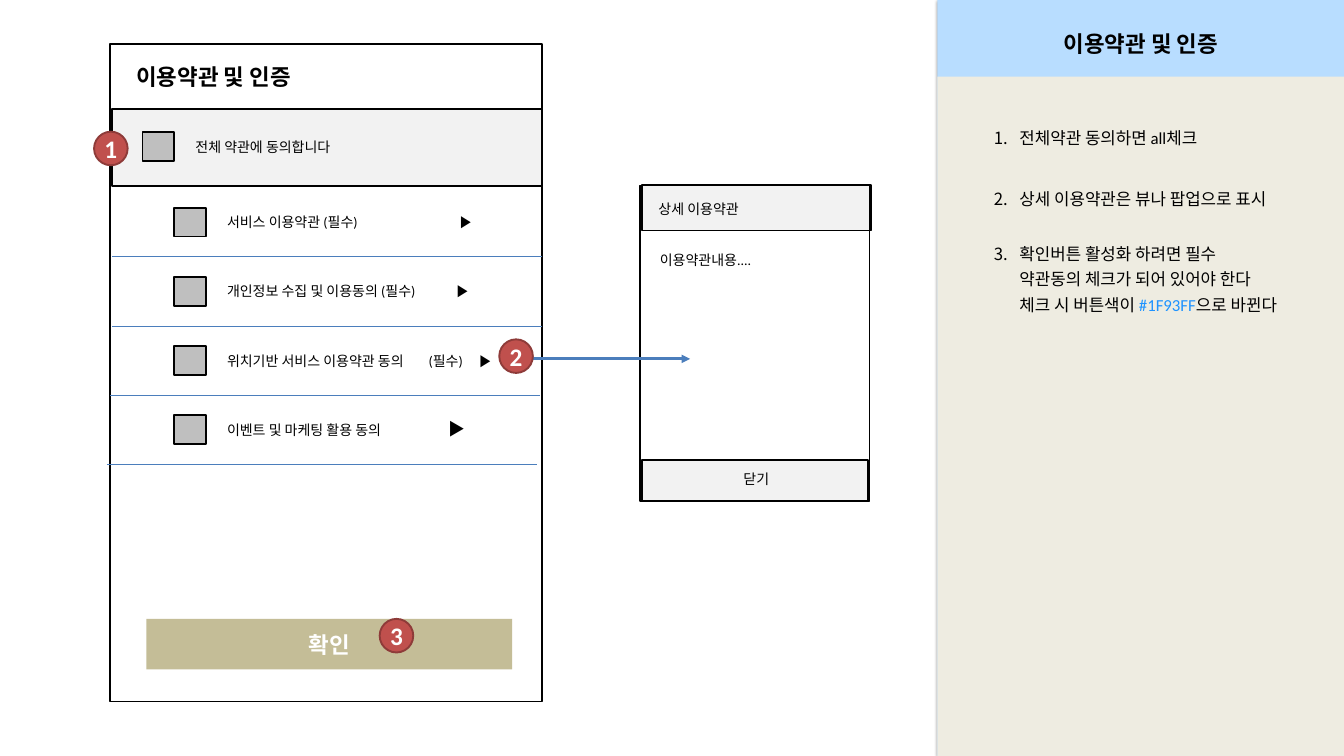
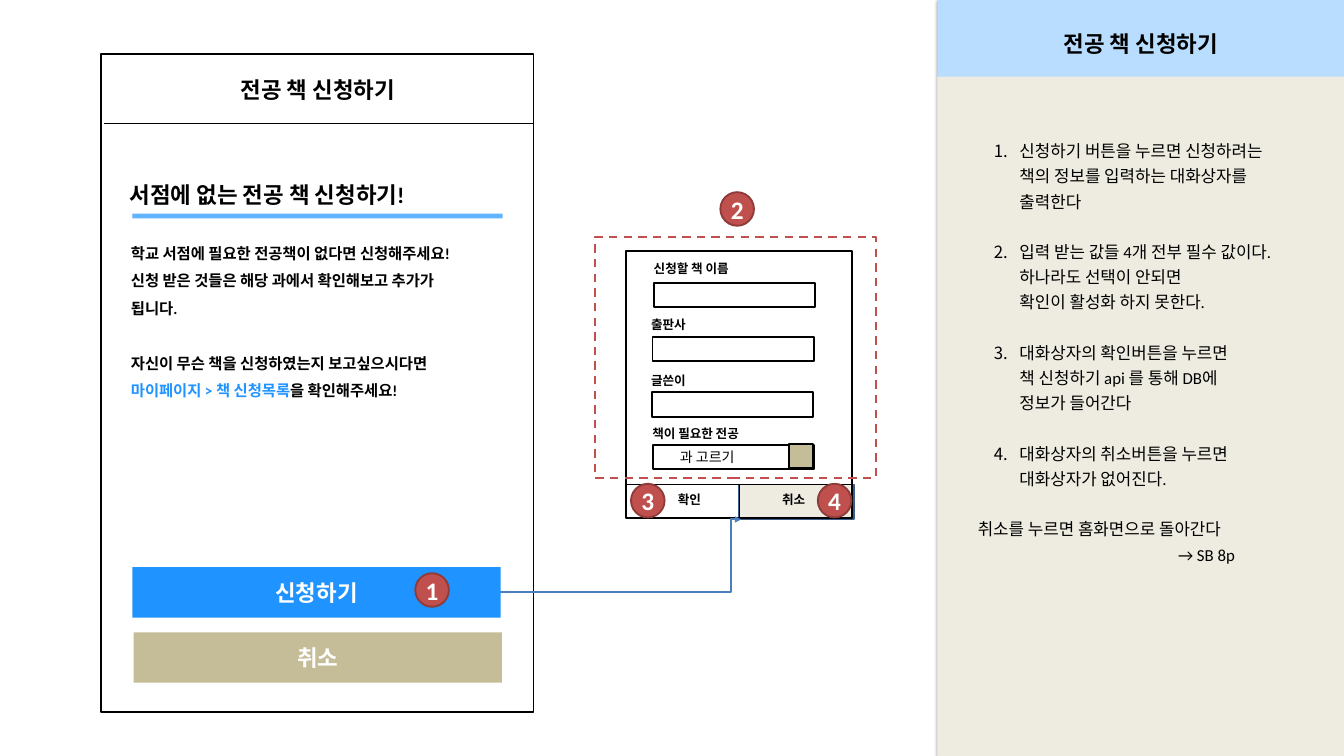
from dataclasses import dataclass

from lxml.etree import SubElement
from pptx import Presentation
from pptx.dml.color import RGBColor
from pptx.enum.dml import MSO_LINE_DASH_STYLE as Dash
from pptx.enum.shapes import MSO_CONNECTOR as Connector, MSO_SHAPE as Shape
from pptx.enum.text import MSO_ANCHOR as Anchor, MSO_AUTO_SIZE as AutoSize, PP_ALIGN as Align
from pptx.oxml.ns import qn
from pptx.util import Inches, Pt


@dataclass(frozen=True)
class Theme:
    font: str = "Calibri"
    # Colours
    black: str = "000000"
    white: str = "FFFFFF"
    header: str = "B8DDFF"
    beige: str = "EEECE1"
    khaki: str = "C4BD97"
    pale: str = "F2F2F2"
    gray: str = "BFBFBF"
    blue: str = "1F93FF"
    sky: str = "63B4FF"
    arrow: str = "4B7EBC"
    navy: str = "3A5F8C"
    red: str = "C0504D"
    dark_red: str = "8E3B39"
    # Type sizes
    badge: float = 27
    title: float = 24
    note: float = 18
    message: float = 16.5
    label: float = 15
    small: float = 13.5


def add_xml(parent, tag, **attributes):
    return SubElement(parent, qn(tag), {key: str(value) for key, value in attributes.items()})


class Storyboard:
    """Draws the wireframe elements on the current page."""

    def __init__(self, theme):
        self.theme = theme
        self.deck = Presentation()
        self.deck.slide_width, self.deck.slide_height = Inches(20), Inches(11.25)
        self.page = None

    # Text
    def fill_para(self, para, text, size, color=None, bold=False, align=Align.LEFT):
        """Text is a string, or a list of (string, colour or None) spans."""
        spans = [(text, None)] if isinstance(text, str) else text
        para.alignment = align
        para.font.name, para.font.size, para.font.bold = self.theme.font, Pt(size), bold
        para.font.color.rgb = RGBColor.from_string(color or self.theme.black)
        for words, span_color in spans:
            for index, line in enumerate(words.split("\n")):
                if index:
                    para.add_line_break()
                span = para.add_run()
                span.text = line
                if span_color:
                    span.font.color.rgb = RGBColor.from_string(span_color)
        return para

    def indent(self, para, left, first=0.0, numbered=False):
        properties = para._p.get_or_add_pPr()
        properties.set("marL", str(Inches(left)))
        properties.set("indent", str(Inches(first)))
        if numbered:
            add_xml(properties, "a:buAutoNum", type="arabicPeriod")
        else:
            add_xml(properties, "a:buNone")
        self.order_defaults(properties)

    def tabs(self, para, stops):
        properties = para._p.get_or_add_pPr()
        tab_list = add_xml(properties, "a:tabLst")
        for stop in stops:
            add_xml(tab_list, "a:tab", pos=Inches(stop), algn="l")
        self.order_defaults(properties)

    def order_defaults(self, properties):
        """The schema wants the paragraph font after bullets and tabs."""
        defaults = properties.find(qn("a:defRPr"))
        if defaults is not None:
            properties.append(defaults)

    def text(self, left, top, width, height, text, size, bold=False,
             align=Align.LEFT, wrap=True):
        box = self.page.shapes.add_textbox(*map(Inches, (left, top, width, height)))
        frame = box.text_frame
        frame.word_wrap, frame.auto_size = wrap, AutoSize.SHAPE_TO_FIT_TEXT
        self.fill_para(frame.paragraphs[0], text, size, bold=bold, align=align)
        return frame

    # Shapes
    def shape(self, left, top, width, height, fill=None, line=None, weight=2.0,
              kind=Shape.RECTANGLE):
        box = self.page.shapes.add_shape(kind, *map(Inches, (left, top, width, height)))
        box.shadow.inherit = False
        self.paint(box, fill)
        if line:
            box.line.color.rgb = RGBColor.from_string(line)
            box.line.width = Pt(weight)
        else:
            box.line.fill.background()
        return box

    def paint(self, box, fill):
        if fill:
            box.fill.solid()
            box.fill.fore_color.rgb = RGBColor.from_string(fill)
        else:
            box.fill.background()

    def outline(self, left, top, width, height, fill=None):
        return self.shape(left, top, width, height, fill, self.theme.black)

    def caption(self, box, text, size):
        frame = box.text_frame
        frame.vertical_anchor = Anchor.MIDDLE
        self.fill_para(frame.paragraphs[0], text, size, self.theme.white, True, Align.CENTER)

    def button(self, left, top, width, text, fill):
        self.caption(self.shape(left, top, width, 0.75, fill), text, self.theme.title)

    def badge(self, left, top, number):
        circle = self.shape(left, top, 0.5, 0.5, self.theme.red, self.theme.dark_red,
                            kind=Shape.OVAL)
        frame = circle.text_frame
        frame.margin_left = frame.margin_right = 0
        frame.word_wrap = False
        self.caption(circle, str(number), self.theme.badge)

    def checkbox(self, left, top):
        self.outline(left, top, 0.47, 0.43, self.theme.gray)

    def line(self, start, end, color, weight=0.75, arrow=False, bend=None):
        kind = Connector.STRAIGHT if bend is None else Connector.ELBOW
        connector = self.page.shapes.add_connector(kind, *map(Inches, (*start, *end)))
        connector.line.color.rgb = RGBColor.from_string(color)
        connector.line.width = Pt(weight)
        properties = connector._element.spPr
        if arrow:
            add_xml(properties.find(qn("a:ln")), "a:tailEnd", type="triangle")
        if bend is not None:
            guides = properties.find(qn("a:prstGeom")).get_or_add_avLst()
            add_xml(guides, "a:gd", name="adj1", fmla=f"val {round(bend * 100000)}")
        add_xml(properties, "a:effectLst")

    # Description panel
    def new_page(self, title, notes, top_margin):
        """Notes are (text, space before, left indent or None for a numbered item)."""
        self.page = self.deck.slides.add_slide(self.deck.slide_layouts[1])
        panel, body = self.page.placeholders
        for box, top, fill in ((panel, 0, self.theme.header), (body, 1.14, self.theme.beige)):
            box.left, box.top = Inches(13.95), Inches(top)
            box.width, box.height = Inches(6.05), Inches(11.25 - top)
            self.paint(box, fill)
            box.text_frame.auto_size = AutoSize.NONE
            box.text_frame.vertical_anchor = Anchor.TOP
        effects = add_xml(panel._element.spPr, "a:effectLst")
        shadow = add_xml(effects, "a:outerShdw", blurRad=Pt(3.1), dist=Pt(1.6),
                         dir=90 * 60000, rotWithShape=0)
        add_xml(add_xml(shadow, "a:srgbClr", val=self.theme.black), "a:alpha", val=38000)
        heading = self.fill_para(panel.text_frame.paragraphs[0], title, self.theme.title,
                                 bold=True, align=Align.CENTER)
        heading.line_spacing = 2.0

        frame = body.text_frame
        frame.margin_top = Inches(top_margin)
        for index, (text, gap, left) in enumerate(notes):
            para = frame.add_paragraph() if index else frame.paragraphs[0]
            self.fill_para(para, text, self.theme.note)
            para.line_spacing, para.space_before = Pt(27), Pt(gap)
            if left is None:
                self.indent(para, 1.12, -0.38, numbered=True)
            else:
                self.indent(para, left)


def build_terms(board):
    theme = board.theme
    board.new_page("이용약관 및 인증", [
        ("전체약관 동의하면 all체크", 0, None),
        ("상세 이용약관은 뷰나 팝업으로 표시", 38, None),
        ([("확인버튼 활성화 하려면 필수\n약관동의 체크가 되어 있어야 한다\n체크 시 버튼색이 ", None),
          ("#1F93FF", theme.blue), ("으로 바뀐다", None)], 32, None),
    ], 0.69)

    # Phone screen with the agree-to-all row
    board.outline(1.64, 0.65, 6.43, 9.79, theme.white)
    board.outline(1.67, 1.62, 6.4, 1.15, theme.pale)
    board.text(1.93, 0.89, 2.71, 0.5, "이용약관 및 인증", theme.title, bold=True, wrap=False)
    board.checkbox(2.12, 1.97)
    board.text(2.81, 2.01, 3.34, 0.35, "전체 약관에 동의합니다", theme.label)

    # Terms: label, tab stops, left end of the divider
    terms = [
        ("서비스 이용약관 (필수)\t", [3.47], 1.67),
        ("개인정보 수집 및 이용동의 (필수)\t", [3.42], 1.67),
        ("위치기반 서비스 이용약관 동의\t(필수)\t", [3.0, 3.76], 1.64),
        ("이벤트 및 마케팅 활용 동의\t", [3.29], 1.59),
    ]
    for row, (label, stops, divider_left) in enumerate(terms):
        top = 3.09 + 1.03 * row
        board.checkbox(2.59, top)
        frame = board.text(3.28, top, 4.99, 0.4, [(label, None), ("▶", None)], theme.label)
        para = frame.paragraphs[0]
        para.runs[-1].font.size = Pt(theme.note)
        board.tabs(para, stops)
        board.line((divider_left, top + 0.73), (divider_left + 6.4, top + 0.73), theme.arrow)

    # Detail popup
    board.outline(9.56, 6.84, 3.36, 0.61, theme.pale)
    board.outline(9.55, 2.75, 3.41, 0.68, theme.pale)
    board.outline(9.53, 2.76, 3.41, 4.69)
    board.text(9.7, 2.93, 2.31, 0.35, "상세 이용약관", theme.label)
    board.text(10.1, 6.95, 2.31, 0.35, "닫기", theme.label, align=Align.CENTER)
    board.text(9.72, 3.7, 2.31, 0.35, "이용약관내용....", theme.label)
    board.line((7.64, 5.34), (10.27, 5.34), theme.arrow, 3, arrow=True)

    # Confirm button and callouts
    board.button(2.18, 9.21, 5.44, "확인", theme.khaki)
    for number, (left, top) in enumerate([(1.4, 1.96), (7.43, 5.05), (5.65, 9.21)], 1):
        board.badge(left, top, number)


def build_request(board):
    theme = board.theme
    title = "전공 책 신청하기"
    board.new_page(title, [
        ("신청하기 버튼을 누르면 신청하려는\n책의 정보를 입력하는 대화상자를\n출력한다", 0, None),
        ("입력 받는 값들 4개 전부 필수 값이다.\n하나라도 선택이 안되면\n확인이 활성화 하지 못한다.", 27, None),
        ("대화상자의 확인버튼을 누르면\n책 신청하기 api 를 통해 DB에\n정보가 들어간다", 27, None),
        ("대화상자의 취소버튼을 누르면\n대화상자가 없어진다.", 27, None),
        ("취소를 누르면 홈화면으로 돌아간다", 27, 0.5),
        ("→ SB 8p", 0, 3.48),
    ], 0.88)

    # Phone screen
    board.shape(1.97, 3.18, 5.51, 0.07, theme.sky)
    board.line((1.55, 1.84), (7.95, 1.84), theme.black)
    board.outline(1.51, 0.81, 6.43, 9.79)
    board.text(3, 1.08, 3.46, 0.5, title, theme.title, bold=True, align=Align.CENTER)
    board.text(1.83, 2.64, 5.75, 0.5, "서점에 없는 전공 책 신청하기!", theme.title, bold=True)
    message = board.text(
        1.85, 3.44, 5.4, 2.55,
        "학교 서점에 필요한 전공책이 없다면 신청해주세요!\n"
        "신청 받은 것들은 해당 과에서 확인해보고 추가가\n됩니다.",
        theme.message, bold=True, wrap=False)
    hint = board.fill_para(message.add_paragraph(), "자신이 무슨 책을 신청하였는지 보고싶으시다면",
                           theme.message, bold=True)
    hint.space_before = Pt(29)
    board.fill_para(message.add_paragraph(),
                    [("마이페이지 > 책 신청목록", theme.blue), ("을 확인해주세요!", None)],
                    theme.message, bold=True)
    for para in message.paragraphs:
        para.line_spacing = 1.5

    # Dialog frame and its two buttons
    board.shape(11, 7.21, 1.71, 0.52, theme.beige, theme.navy)
    board.line((9.32, 7.21), (12.68, 7.21), theme.black)
    board.line((11, 7.71), (11, 7.21), theme.black)
    board.outline(9.32, 3.73, 3.36, 3.98)
    board.line((7.15, 8.81), (11.03, 7.73), theme.arrow, 2.25, arrow=True, bend=0.96)
    for left, label in ((9.97, "확인"), (11.52, "취소")):
        board.text(left, 7.27, 0.58, 0.33, label, theme.small, True, Align.CENTER, wrap=False)

    # Dialog fields: label, its left, top and width, then left and top of the field
    fields = [
        ("신청할 책 이름", 9.63, 3.83, 1.42, 9.73, 4.21),
        ("출판사", 9.59, 4.66, 0.77, 9.71, 5.01),
        ("글쓴이", 9.59, 5.5, 0.77, 9.7, 5.84),
        ("책이 필요한 전공", 9.61, 6.29, 1.61, 9.72, 6.62),
    ]
    for label, left, top, width, field_left, field_top in fields:
        board.text(left, top, width, 0.33, label, theme.small, bold=True, wrap=False)
        field = board.outline(field_left, field_top, 2.4, 0.36, theme.white)
    field.text_frame.vertical_anchor = Anchor.MIDDLE
    choice = board.fill_para(field.text_frame.paragraphs[0], "과 고르기", theme.label)
    board.indent(choice, 0, 0.3)
    board.outline(11.74, 6.61, 0.36, 0.36, theme.khaki)
    required = board.shape(8.86, 3.53, 4.17, 3.59, line=theme.red, weight=2.25)
    required.line.dash_style = Dash.DASH

    # Screen buttons and callouts
    board.button(1.97, 8.44, 5.48, "신청하기", theme.blue)
    board.button(1.99, 9.41, 5.48, "취소", theme.khaki)
    badges = [(6.18, 8.53), (10.72, 2.86), (9.39, 7.2), (12.17, 7.2)]
    for number, (left, top) in enumerate(badges, 1):
        board.badge(left, top, number)


def main():
    board = Storyboard(Theme())
    build_terms(board)
    build_request(board)
    board.deck.save("out.pptx")


if __name__ == "__main__":
    main()
